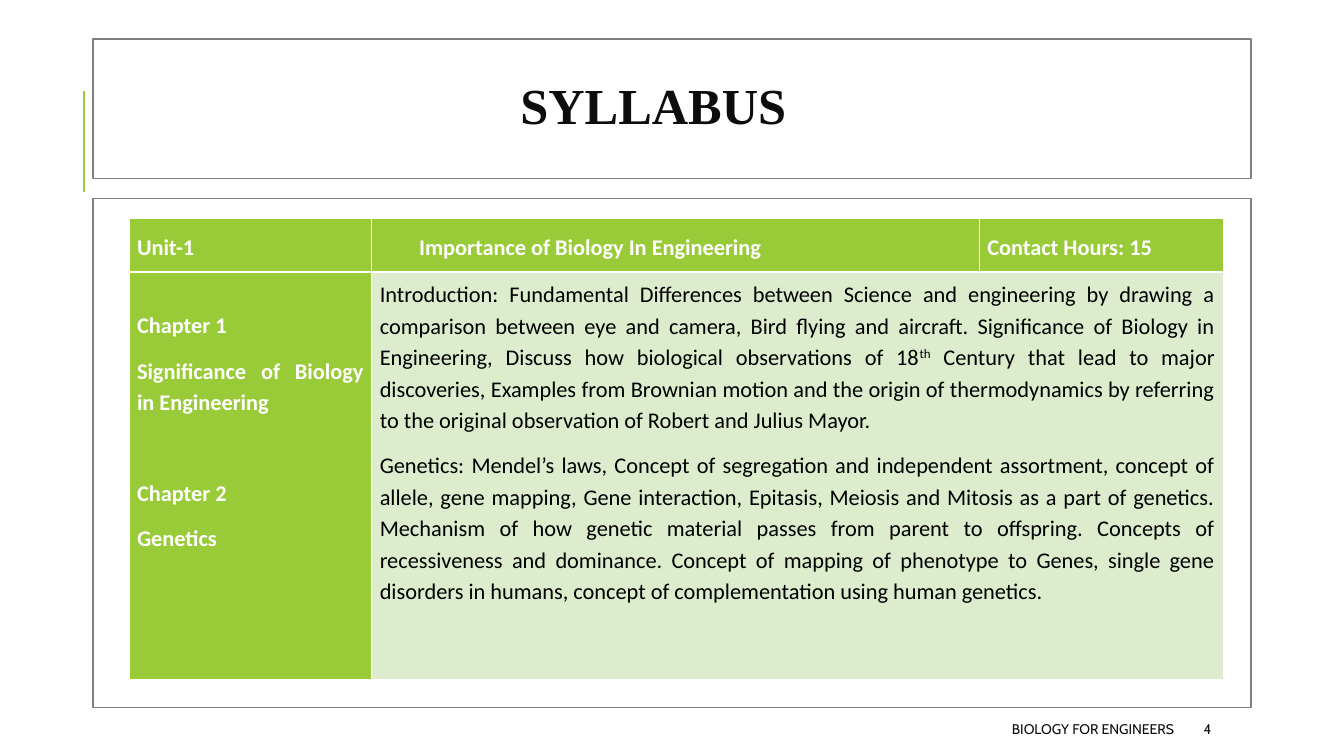
from lxml import etree
from pptx import Presentation
from pptx import util as u
from pptx.dml.color import RGBColor
from pptx.enum import shapes, text
from pptx.oxml.ns import qn

COLORS = {"green": "99CB38", "pale": "DEECCE", "white": "FFFFFF",
          "black": "000000", "ink": "0D0D0D", "frame": "7F7F7F"}


def add_span(para, words, font, size, color, bold=False):
    span = para.add_run()
    span.text = words
    span.font.name = font
    span.font.size = u.Pt(size)
    span.font.bold = bold
    span.font.color.rgb = RGBColor.from_string(COLORS[color])
    return span


def style_cell(cell, fill, top, bottom):
    cell.fill.solid()
    cell.fill.fore_color.rgb = RGBColor.from_string(COLORS[fill])
    cell.margin_left = cell.margin_right = u.Inches(0.08)
    cell.margin_top = cell.margin_bottom = u.Inches(0.05)
    properties = cell._tc.get_or_add_tcPr()
    edges = [("a:lnL", 0.45), ("a:lnR", 0.45), ("a:lnT", top), ("a:lnB", bottom)]
    for index, (tag, width) in enumerate(edges):
        edge = etree.Element(qn(tag), w=str(u.Pt(width)))
        paint = etree.SubElement(edge, qn("a:solidFill"))
        etree.SubElement(paint, qn("a:srgbClr"), val=COLORS["white"])
        properties.insert(index, edge)


deck = Presentation()
deck.slide_width, deck.slide_height = u.Inches(13.34), u.Inches(7.5)
page = deck.slides.add_slide(deck.slide_layouts[5])

# Accent line beside the title
accent = page.shapes.add_connector(shapes.MSO_CONNECTOR.STRAIGHT, u.Inches(0.83),
                                   u.Inches(1.9), u.Inches(0.83), u.Inches(0.9))
accent.line.color.rgb = RGBColor.from_string(COLORS["green"])
accent.line.width = u.Pt(1.5)
etree.SubElement(accent._element.spPr, qn("a:effectLst"))

# Title, set a little left of centre
title = page.shapes.title
title.left, title.top = u.Inches(0.92), u.Inches(0.39)
title.width, title.height = u.Inches(11.5), u.Inches(1.4)
frame = title.text_frame
frame.auto_size = text.MSO_AUTO_SIZE.NONE
frame.vertical_anchor = text.MSO_ANCHOR.MIDDLE
frame.margin_right = u.Inches(0.47)
para = frame.paragraphs[0]
para.alignment = text.PP_ALIGN.CENTER
para.line_spacing = 0.8
add_span(para, "SYLLABUS", "Times New Roman", 36, "ink", True)

# Syllabus table
table = page.shapes.add_table(2, 3, u.Inches(1.28), u.Inches(2.17),
                              u.Inches(10.86), u.Inches(4.57)).table
table.horz_banding = False
for column, width in zip(table.columns, (2.41, 6.03, 2.42)):
    column.width = u.Inches(width)
for row, height in zip(table.rows, (0.53, 4.04)):
    row.height = u.Inches(height)
table.cell(1, 1).merge(table.cell(1, 2))

INTRODUCTION = [
    "Introduction: Fundamental Differences between Science and engineering by drawing a "
    "comparison between eye and camera, Bird flying and aircraft. Significance of Biology in "
    "Engineering, Discuss how biological observations of 18",
    "th",
    " Century that lead to major discoveries, Examples from Brownian motion and the origin of "
    "thermodynamics by referring to the original observation of Robert and Julius Mayor."]
GENETICS = [
    "Genetics: Mendel’s laws, Concept of segregation and independent assortment, concept of "
    "allele, gene mapping, Gene interaction, Epitasis, Meiosis and Mitosis as a part of "
    "genetics. Mechanism of how genetic material passes from parent to offspring. Concepts of "
    "recessiveness and dominance. Concept of mapping of phenotype to Genes, single gene "
    "disorders in humans, concept of complementation using human genetics."]
CHAPTERS = [["Chapter 1"], ["Significance of Biology in Engineering"],
            ["Chapter 2"], ["Genetics"]]
CELLS = {(0, 0): [["Unit-1"]],
         (0, 1): [["Importance of Biology In Engineering"]],
         (0, 2): [["Contact Hours: 15"]],
         (1, 0): CHAPTERS,
         (1, 1): [INTRODUCTION, GENETICS]}

for (row, column), paragraphs in CELLS.items():
    cell = table.cell(row, column)
    is_body = (row, column) == (1, 1)
    top, bottom = (1.47, 0.45) if row else (0.45, 1.47)
    style_cell(cell, "pale" if is_body else "green", top, bottom)
    cell.vertical_anchor = text.MSO_ANCHOR.TOP if row else text.MSO_ANCHOR.MIDDLE
    for index, parts in enumerate(paragraphs):
        para = cell.text_frame.add_paragraph() if index else cell.text_frame.paragraphs[0]
        para.alignment = text.PP_ALIGN.JUSTIFY
        para.line_spacing = 1.15
        para.space_after = u.Pt(10)
        for part in parts:
            span = add_span(para, part, "Calibri", 16,
                            "black" if is_body else "white", not is_body)
            if part == "th":
                span.font._element.set("baseline", "30000")

# Offsets inside the heading and chapter cells
table.cell(0, 1).margin_left = u.Inches(0.47)
table.cell(1, 0).margin_top = u.Inches(0.36)
table.cell(1, 0).text_frame.paragraphs[2].space_before = u.Pt(32)

# Frames around the table and the title
for top, height in ((1.97, 5.05), (0.39, 1.38)):
    box = page.shapes.add_shape(shapes.MSO_SHAPE.RECTANGLE, u.Inches(0.92), u.Inches(top),
                                u.Inches(11.5), u.Inches(height))
    box.shadow.inherit = False
    box.fill.background()
    box.line.color.rgb = RGBColor.from_string(COLORS["frame"])
    box.line.width = u.Pt(1.25)

# Footer and page number
for words, left, width, alignment in (
        ("BIOLOGY FOR ENGINEERS", 5.3, 6.45, text.PP_ALIGN.RIGHT),
        ("4", 11.85, 1.06, text.PP_ALIGN.LEFT)):
    box = page.shapes.add_textbox(u.Inches(left), u.Inches(7.08), u.Inches(width), u.Inches(0.3))
    box.text_frame.word_wrap = True
    box.text_frame.vertical_anchor = text.MSO_ANCHOR.MIDDLE
    para = box.text_frame.paragraphs[0]
    para.alignment = alignment
    add_span(para, words, "Cabin", 10, "ink")

deck.save("out.pptx")
